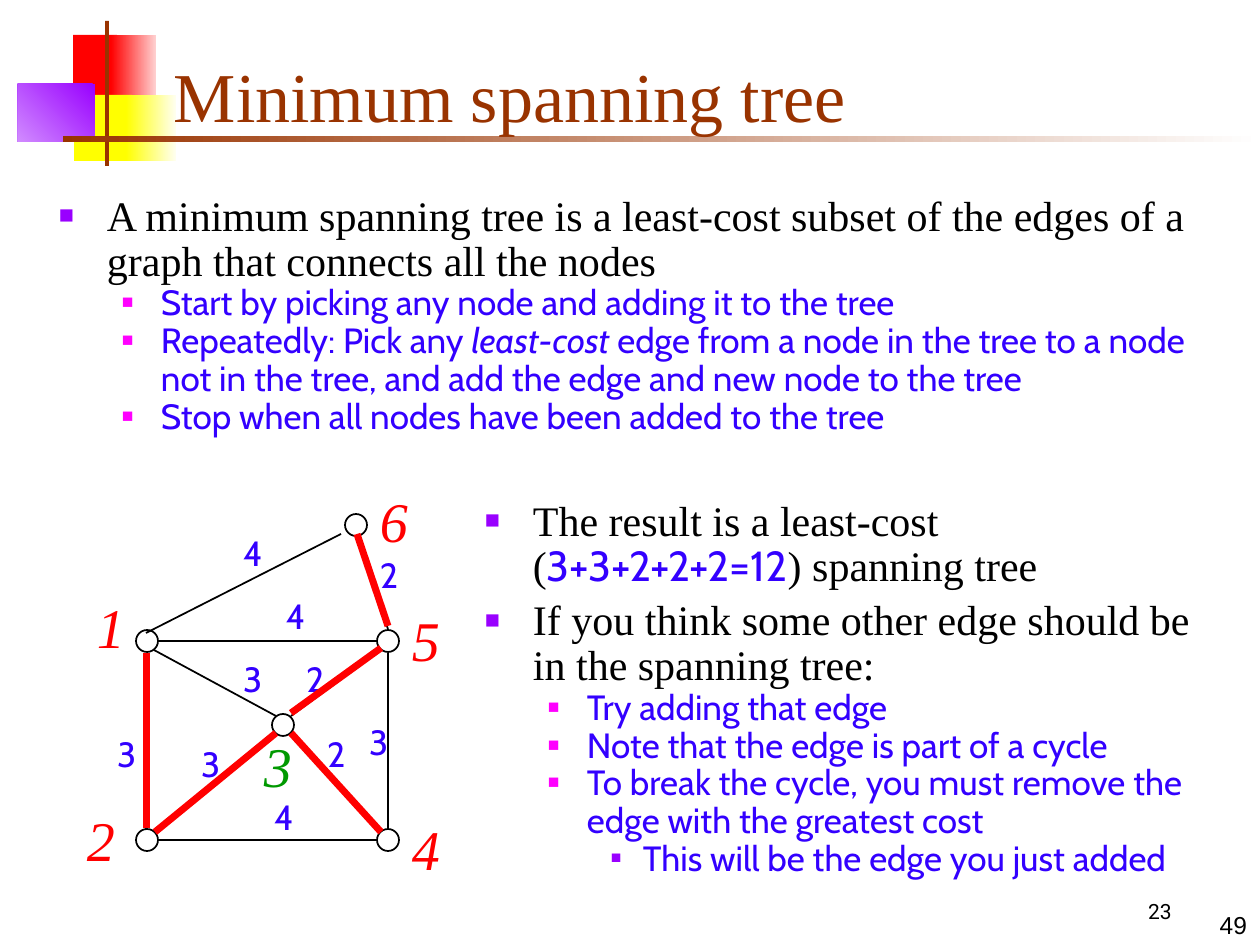
import pptx
import pptx.dml.color
import pptx.enum.shapes
import pptx.enum.text
import pptx.oxml
import pptx.oxml.ns
import pptx.util

PX_PER_INCH = 126
SERIF, SANS = "Times New Roman", "Cabin"
SHAPES = pptx.enum.shapes.MSO_SHAPE
ALIGN = pptx.enum.text.PP_ALIGN
ANCHOR = pptx.enum.text.MSO_ANCHOR
COLORS = {
    "red": "FF0000", "pale_red": "FFD1D1", "yellow": "FFFF00",
    "pale_yellow": "FFFFF0", "violet": "9900FF", "pale_violet": "D18BFF",
    "brown": "993300", "white": "FFFFFF", "black": "000000",
    "blue": "3300FF", "magenta": "FF00FF", "green": "009900",
}
STYLES = {
    "title": {"size": 40, "name": SERIF, "color": "brown"},
    "main": {"size": 24, "name": SERIF, "color": "black"},
    "sum": {"size": 24, "name": SANS, "color": "blue"},
    "detail": {"size": 20, "name": SANS, "color": "blue"},
    "stress": {"size": 20, "name": SANS, "color": "blue", "italic": True},
    "node": {"size": 32, "name": SERIF, "color": "red", "italic": True},
    "center_node": {"size": 32, "name": SERIF, "color": "green", "italic": True},
    "cost": {"size": 20, "name": SANS, "color": "blue"},
    "small_number": {"size": 12, "name": "Roboto", "color": "black"},
    "page_number": {"size": 14, "name": "Arial", "color": "black"},
}
LEVELS = [
    {"margin": 48, "hanging": 48, "color": "violet", "percent": 60, "before": 5},
    {"margin": 102, "hanging": 39, "color": "magenta", "percent": 55, "before": 0},
    {"margin": 158, "hanging": 32, "color": "violet", "percent": 50, "before": 0},
]
DECORATIONS = [
    ((73, 35, 44, 66), ["red"], 0),
    ((111, 35, 45, 66), ["red", "pale_red"], 0),
    ((74, 95, 58, 66), ["yellow"], 0),
    ((126, 95, 50, 66), ["yellow", "pale_yellow"], 0),
    ((18, 84, 77, 58), ["violet", "pale_violet"], 225),
    ((105, 21, 4, 145), ["brown"], 0),
    ((63, 136, 1197, 6), ["brown", "white"], 0),
]
DEFINITION = [
    (0, [("A minimum spanning tree is a least-cost subset of the edges of a "
          "graph that connects all the nodes", "main")]),
    (1, [("Start by picking any node and adding it to the tree", "detail")]),
    (1, [("Repeatedly: Pick any ", "detail"), ("least-cost", "stress"),
         (" edge from a node in the tree to a node not in the tree, "
          "and add the edge and new node to the tree", "detail")]),
    (1, [("Stop when all nodes have been added to the tree", "detail")]),
]
RESULT = [
    (0, [("The result is a least-cost (", "main"), ("3+3+2+2+2=12", "sum"),
         (") spanning tree", "main")]),
    (0, [("If you think some other edge should be in the spanning tree:", "main")]),
    (1, [("Try adding that edge", "detail")]),
    (1, [("Note that the edge is part of a cycle", "detail")]),
    (1, [("To break the cycle, you must remove the edge with the "
          "greatest cost", "detail")]),
    (2, [("This will be the edge you just added", "detail")]),
]
NODE_DIAMETER = 22
NODES = [
    ("1", (147, 641), (91, 586), "node"),
    ("2", (147, 840), (81, 799), "node"),
    ("3", (283, 725), (258, 725), "center_node"),
    ("4", (388, 840), (406, 809), "node"),
    ("5", (388, 641), (406, 599), "node"),
    ("6", (356, 525), (374, 481), "node"),
]
GRAPH_EDGES = [
    (146, 653, 146, 829), (159, 840, 377, 840), (388, 829, 388, 653),
    (159, 641, 377, 641), (146, 633, 341, 534), (357, 537, 388, 629),
    (154, 650, 276, 716), (291, 716, 381, 650), (276, 733, 154, 832),
    (291, 733, 381, 832),
]
TREE_EDGES = [
    (147, 653, 147, 828), (155, 832, 276, 733), (291, 733, 381, 832),
    (291, 713, 381, 648), (388, 626, 357, 534),
]
COSTS = {
    "3": [(111, 726), (195, 736), (237, 651), (363, 714)],
    "2": [(300, 651), (321, 726), (374, 547)],
    "4": [(268, 789), (237, 525), (280, 588)],
}


def px(value):
    return pptx.util.Emu(round(value * 914400 / PX_PER_INCH))


def rgb(name):
    return pptx.dml.color.RGBColor.from_string(COLORS[name])


def add_decoration(slide, box, colors, angle):
    shape = slide.shapes.add_shape(SHAPES.RECTANGLE, *map(px, box))
    shape.shadow.inherit = False
    shape.line.fill.background()
    if len(colors) == 1:
        shape.fill.solid()
        shape.fill.fore_color.rgb = rgb(colors[0])
        return
    shape.fill.gradient()
    shape.fill.gradient_angle = angle
    for stop, color in zip(shape.fill.gradient_stops, colors):
        stop.color.rgb = rgb(color)


def add_runs(paragraph, runs):
    for text, style in runs:
        run = paragraph.add_run()
        run.text = text
        for key, value in STYLES[style].items():
            if key == "color":
                run.font.color.rgb = rgb(value)
            else:
                setattr(run.font, key, pptx.util.Pt(value) if key == "size" else value)


def add_text_frame(slide, box, anchor=ANCHOR.TOP, wrap=True):
    frame = slide.shapes.add_textbox(*map(px, box)).text_frame
    settings = {"word_wrap": wrap, "vertical_anchor": anchor}
    for side in ("left", "top", "right", "bottom"):
        settings["margin_" + side] = px(6)
    for key, value in settings.items():
        setattr(frame, key, value)
    return frame


def add_label(slide, box, text, style, align=ALIGN.LEFT, **frame_format):
    paragraph = add_text_frame(slide, box, **frame_format).paragraphs[0]
    paragraph.alignment = align
    add_runs(paragraph, [(text, style)])


def add_bullet(paragraph, level):
    look = LEVELS[level]
    properties = paragraph._p.get_or_add_pPr()
    properties.set("marL", str(px(look["margin"])))
    properties.set("indent", str(-px(look["hanging"])))
    namespace = pptx.oxml.ns.nsdecls("a")
    for element in (
        f'<a:buClr {namespace}><a:srgbClr val="{COLORS[look["color"]]}"/></a:buClr>',
        f'<a:buSzPct {namespace} val="{look["percent"] * 1000}"/>',
        f'<a:buFont {namespace} typeface="Arial"/>',
        f'<a:buChar {namespace} char="■"/>',
    ):
        properties.append(pptx.oxml.parse_xml(element))


def add_bullet_list(slide, box, items):
    frame = add_text_frame(slide, box)
    for index, (level, runs) in enumerate(items):
        paragraph = frame.add_paragraph() if index else frame.paragraphs[0]
        add_bullet(paragraph, level)
        before = LEVELS[level]["before"] if index else 0
        settings = {"level": level, "line_spacing": 0.9,
                    "space_before": pptx.util.Pt(before)}
        for key, value in settings.items():
            setattr(paragraph, key, value)
        add_runs(paragraph, runs)


def add_node(slide, center):
    left, top = (value - NODE_DIAMETER / 2 for value in center)
    box = (left, top, NODE_DIAMETER, NODE_DIAMETER)
    shape = slide.shapes.add_shape(SHAPES.OVAL, *map(px, box))
    shape.shadow.inherit = False
    shape.fill.background()
    shape.line.color.rgb = rgb("black")
    shape.line.width = pptx.util.Pt(1)


def add_edge(slide, ends, color, width):
    connector = slide.shapes.add_connector(
        pptx.enum.shapes.MSO_CONNECTOR.STRAIGHT, *map(px, ends))
    connector.line.color.rgb = rgb(color)
    connector.line.width = pptx.util.Pt(width)
    connector._element.spPr.append(
        pptx.oxml.parse_xml(f'<a:effectLst {pptx.oxml.ns.nsdecls("a")}/>'))


def add_graph(slide):
    for text, center, corner, style in NODES:
        add_label(slide, (*corner, 50, 79), text, style)
        add_node(slide, center)
    for ends in GRAPH_EDGES:
        add_edge(slide, ends, "black", 1)
    for cost, corners in COSTS.items():
        for corner in corners:
            add_label(slide, (*corner, 19, 54), cost, "cost")
    for ends in TREE_EDGES:
        add_edge(slide, ends, "red", 4)


def main():
    presentation = pptx.Presentation()
    presentation.slide_width, presentation.slide_height = px(1260), px(945)
    slide = presentation.slides.add_slide(presentation.slide_layouts[6])
    for decoration in DECORATIONS:
        add_decoration(slide, *decoration)
    add_label(slide, (1102, 892, 116, 42), "23", "small_number", ALIGN.CENTER, wrap=False)
    add_label(slide, (1004, 903, 249, 42), "49", "page_number", ALIGN.RIGHT,
              anchor=ANCHOR.BOTTOM)
    add_label(slide, (168, 42, 1074, 105), "Minimum spanning tree", "title",
              anchor=ANCHOR.MIDDLE)
    add_bullet_list(slide, (53, 189, 1182, 302), DEFINITION)
    add_bullet_list(slide, (479, 494, 743, 431), RESULT)
    add_graph(slide)
    presentation.save("out.pptx")


if __name__ == "__main__":
    main()
